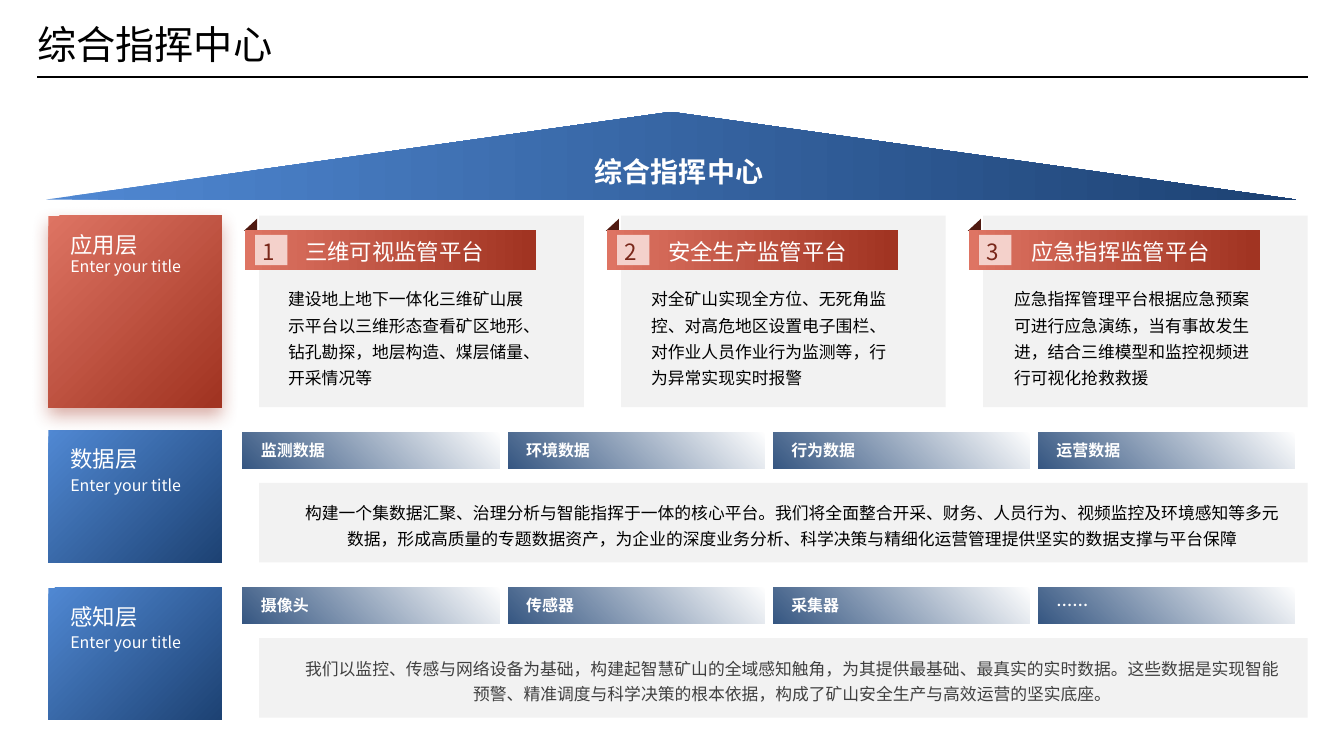
"""Build the command centre architecture slide."""
from lxml import etree
from pptx import Presentation
from pptx import oxml as ox
from pptx import util as u
from pptx.dml import color as col
from pptx.enum import shapes as sh, text as tx
from pptx.oxml import ns

FONT = "Noto Sans CJK SC"
WHITE, BLACK, PALE = "FFFFFF", "000000", "F2F2F2"
BLUE = [(0, "5088D3", 100), (100, "1D4273", 100)]
RED = [(0, "DE7463", 100), (98, "A13422", 100)]
FADE = [(0, "1D4273", 90), (100, "1D4273", 0)]
GLOW = [(14, WHITE, 0), (100, WHITE, 70)]
TITLE = "综合指挥中心"
SUB = "Enter your title"

CARDS = [
    ("三维可视监管平台",
     "建设地上地下一体化三维矿山展示平台以三维形态查看矿区地形、钻孔勘探，地层构造、煤层储量、开采情况等"),
    ("安全生产监管平台",
     "对全矿山实现全方位、无死角监控、对高危地区设置电子围栏、对作业人员作业行为监测等，行为异常实现实时报警"),
    ("应急指挥监管平台",
     "应急指挥管理平台根据应急预案可进行应急演练，当有事故发生进，结合三维模型和监控视频进行可视化抢救救援"),
]
LAYERS = [
    dict(name="感知层", top=5.83, bar=5.83, note=6.45, gap=1.2, tint="404040",
         tags=["摄像头", "传感器", "采集器", "……"],
         body="我们以监控、传感与网络设备为基础，构建起智慧矿山的全域感知触角，为其提供最基础、最真实的实时数据。"
              "这些数据是实现智能预警、精准调度与科学决策的根本依据，构成了矿山安全生产与高效运营的坚实底座。"),
    dict(name="数据层", top=4.27, bar=4.29, note=4.88, gap=1.3, tint=BLACK,
         tags=["监测数据", "环境数据", "行为数据", "运营数据"],
         body="构建一个集数据汇聚、治理分析与智能指挥于一体的核心平台。我们将全面整合开采、财务、人员行为、"
              "视频监控及环境感知等多元数据，形成高质量的专题数据资产，为企业的深度业务分析、科学决策与"
              "精细化运营管理提供坚实的数据支撑与平台保障"),
]
SCREEN = [(6.54, 1.29), (6.45, 1.29), (6.45, 1.55), (6.87, 1.55), (6.87, 1.29), (6.78, 1.29),
          (6.78, 1.31), (6.86, 1.31), (6.86, 1.54), (6.47, 1.54), (6.47, 1.31), (6.54, 1.31)]
TRAY = [(6.54, 1.33), (6.49, 1.33), (6.49, 1.51), (6.84, 1.51), (6.84, 1.33), (6.78, 1.33),
        (6.83, 1.33), (6.83, 1.5), (6.5, 1.5), (6.5, 1.33)]
LEAF = [(6.65, 1.22), (6.72, 1.21), (6.79, 1.22), (6.79, 1.44), (6.72, 1.43), (6.65, 1.44)]
HOLE = [(6.67, 1.23), (6.67, 1.42), (6.72, 1.42), (6.77, 1.43), (6.77, 1.23), (6.72, 1.22)]

deck = Presentation()
deck.slide_width, deck.slide_height = u.Inches(13.33), u.Inches(7.5)
page = deck.slides.add_slide(deck.slide_layouts[6])


def rgb(hue):
    return col.RGBColor.from_string(hue)


def blend(shape, stops, form):
    """Fill a shape with a gradient of (place, colour, opacity) stops."""
    shape.fill.solid()
    parts = "".join(f'<a:gs pos="{at * 1000}"><a:srgbClr val="{hue}"><a:alpha val="{seen * 1000}"/>'
                    "</a:srgbClr></a:gs>" for at, hue, seen in stops)
    if form == "circle":
        way = '<a:path path="circle"><a:fillToRect t="100000" r="100000"/></a:path>'
    else:
        way = f'<a:lin ang="{form * 60000}" scaled="0"/>'
    grad = ox.parse_xml(f'<a:gradFill {ns.nsdecls("a")} rotWithShape="1"><a:gsLst>{parts}</a:gsLst>'
                        f"{way}</a:gradFill>")
    props = shape._element.spPr
    props.replace(props.find(ns.qn("a:solidFill")), grad)


def paint(shape, fill, form=0):
    """Give a shape its fill and take off its line and shadow."""
    shape.shadow.inherit = False
    shape.line.fill.background()
    if isinstance(fill, str):
        shape.fill.solid()
        shape.fill.fore_color.rgb = rgb(fill)
    else:
        blend(shape, fill, form)
    return shape


def block(box, fill, form=0, kind="RECTANGLE"):
    """Add a preset shape."""
    shape = page.shapes.add_shape(getattr(sh.MSO_SHAPE, kind), *map(u.Inches, box))
    return paint(shape, fill, form)


def write(box, words, size, tint=WHITE, bold=False, **para):
    """Add a text box with one paragraph."""
    frame = page.shapes.add_textbox(*map(u.Inches, box)).text_frame
    frame.word_wrap, frame.auto_size = True, tx.MSO_AUTO_SIZE.SHAPE_TO_FIT_TEXT
    line = frame.paragraphs[0]
    for key, val in para.items():
        setattr(line, key, val)
    run = line.add_run()
    run.text = words
    for key, val in dict(size=u.Pt(size), bold=bold, name=FONT).items():
        setattr(run.font, key, val)
    run.font.color.rgb = rgb(tint)
    etree.SubElement(run._r.get_or_add_rPr(), ns.qn("a:ea")).set("typeface", FONT)
    return frame


def rect(left, top, right, low):
    return [(left, top), (right, top), (right, low), (left, low)]


def ring(left, top, right, low, rim=0.01):
    return [rect(left, top, right, low), rect(left + rim, top + rim, right - rim, low - rim)[::-1]]


def leaf(shift):
    """Return one book page with four lines of print."""
    print_ = [rect(6.68, 1.26 + 0.04 * i, 6.76, 1.27 + 0.04 * i) for i in range(4)]
    return [[(x + shift, y) for x, y in loop] for loop in [LEAF, HOLE] + print_]


def trace(loops):
    """Add one icon part made of closed outlines."""
    pen = page.shapes.build_freeform(*loops[0][0], scale=u.Inches(1))
    for i, loop in enumerate(loops):
        if i:
            pen.move_to(*loop[0])
        pen.add_line_segments(loop[1:], close=True)
    paint(pen.convert_to_shape(), GLOW, 270)


def label(name, top, high, drop, fill):
    """Add the coloured block that names a layer."""
    shape = block((0.48, top, 1.72, high), fill, 45)
    write((0.6, top + 0.1, 1.63, 0.37), name, 16)
    write((0.6, top + drop, 1.46, 0.48), SUB, 11.4)
    return shape


def head():
    rule = page.shapes.add_connector(sh.MSO_CONNECTOR.STRAIGHT,
                                     *map(u.Inches, (0.37, 0.76, 12.97, 0.76)))
    rule.line.color.rgb, rule.line.width = rgb(BLACK), u.Pt(1.5)
    etree.SubElement(rule._element.spPr, ns.qn("a:effectLst"))
    frame = write((0.37, 0.2, 2.36, 0.47), TITLE, 28, BLACK)
    frame.word_wrap = False
    for side in ("left", "top", "right", "bottom"):
        setattr(frame, "margin_" + side, 0)


def roof():
    block((0.46, 1.11, 12.39, 0.87), BLUE, 0, "ISOSCELES_TRIANGLE")
    for part in ([SCREEN], ring(6.58, 1.54, 6.74, 1.6), ring(6.53, 1.58, 6.79, 1.63) + [TRAY],
                 leaf(0), leaf(-0.11)):
        trace(part)
    write((3.4, 1.48, 6.67, 0.44), TITLE, 20, bold=True, alignment=tx.PP_ALIGN.CENTER)


def layer(name, top, bar, note, gap, tint, tags, body):
    for i, tag in enumerate(tags):
        left = 2.41 + 2.63 * i
        block((left, bar, 2.54, 0.36), FADE, "circle")
        write((left + 0.08, bar + 0.03, 1.5, 0.29), tag, 11.4, bold=True)
    label(name, top, 1.31, 0.4, BLUE)
    block((2.57, bar + 0.5, 10.4, 0.79), PALE)
    write((2.86, note, 10, 0.61), body, 12, tint, line_spacing=gap, alignment=tx.PP_ALIGN.CENTER)


def cards():
    shape = label("应用层", 2.14, 1.9, 0.36, RED)
    glow = etree.SubElement(shape._element.spPr.find(ns.qn("a:effectLst")), ns.qn("a:outerShdw"),
                            blurRad=str(u.Pt(13)), dist=str(u.Pt(6)), dir="5400000", rotWithShape="0")
    hue = etree.SubElement(glow, ns.qn("a:srgbClr"), val="A13422")
    etree.SubElement(hue, ns.qn("a:alpha"), val="40000")
    for i, (name, body) in enumerate(CARDS):
        left = 2.57 + 3.59 * i
        fold = block((left - 0.15, 2.17, 0.13, 0.12), "501A11", kind="RIGHT_TRIANGLE")
        fold._element.spPr.find(ns.qn("a:xfrm")).set("flipH", "1")
        block((left, 2.14, 3.22, 1.9), PALE)
        for box, fill in (((left - 0.14, 2.28, 2.89, 0.4), RED),
                          ((left - 0.04, 2.33, 0.32, 0.3), "F4D1CB")):
            block(box, fill, 0, "ROUNDED_RECTANGLE").adjustments[0] = 0
        write((2.76 + 3.6 * i, 2.76, 2.67, 1.13), body, 12, BLACK, line_spacing=1.3)
        write((2.93 + 3.6 * i, 2.31, 2.49, 0.37), name, 16)
        write((left - 0.06, 2.31, 0.45, 0.37), str(i + 1), 16, "79271A")


head()
roof()
for data in LAYERS:
    layer(**data)
cards()
deck.save("out.pptx")
